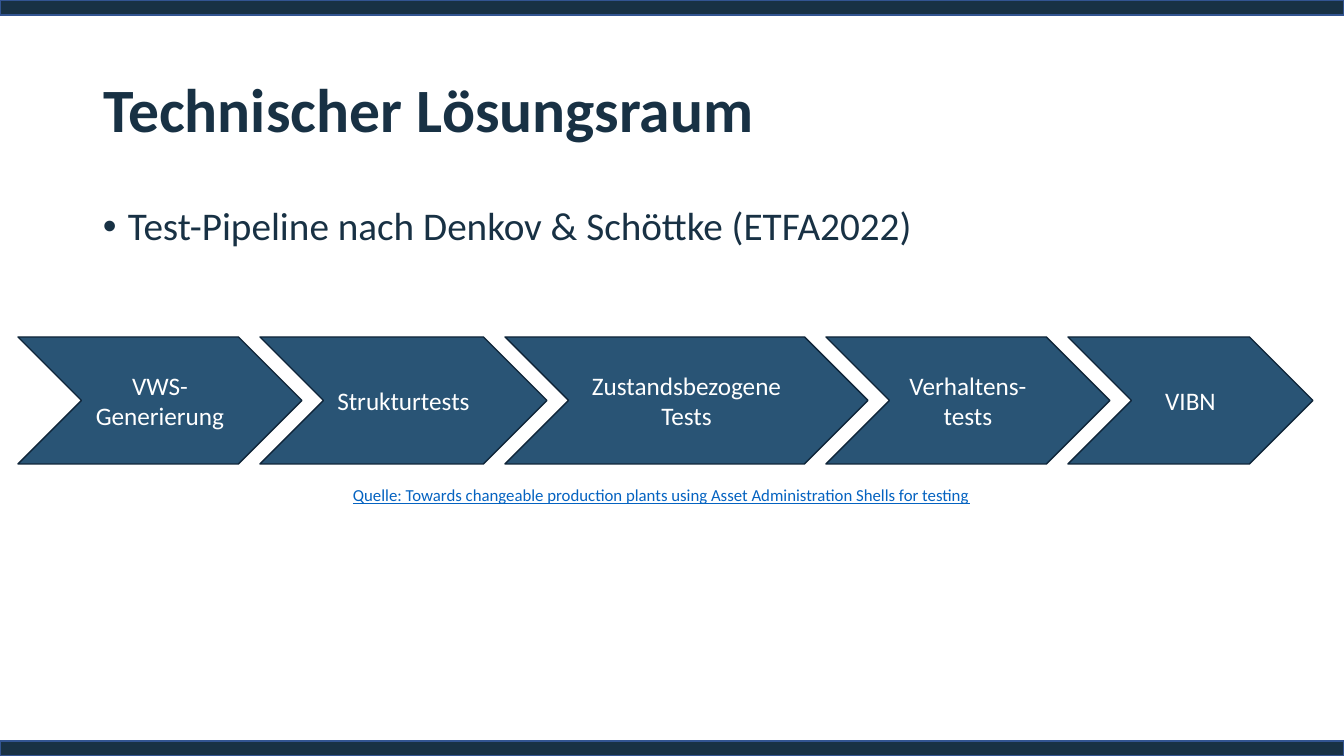
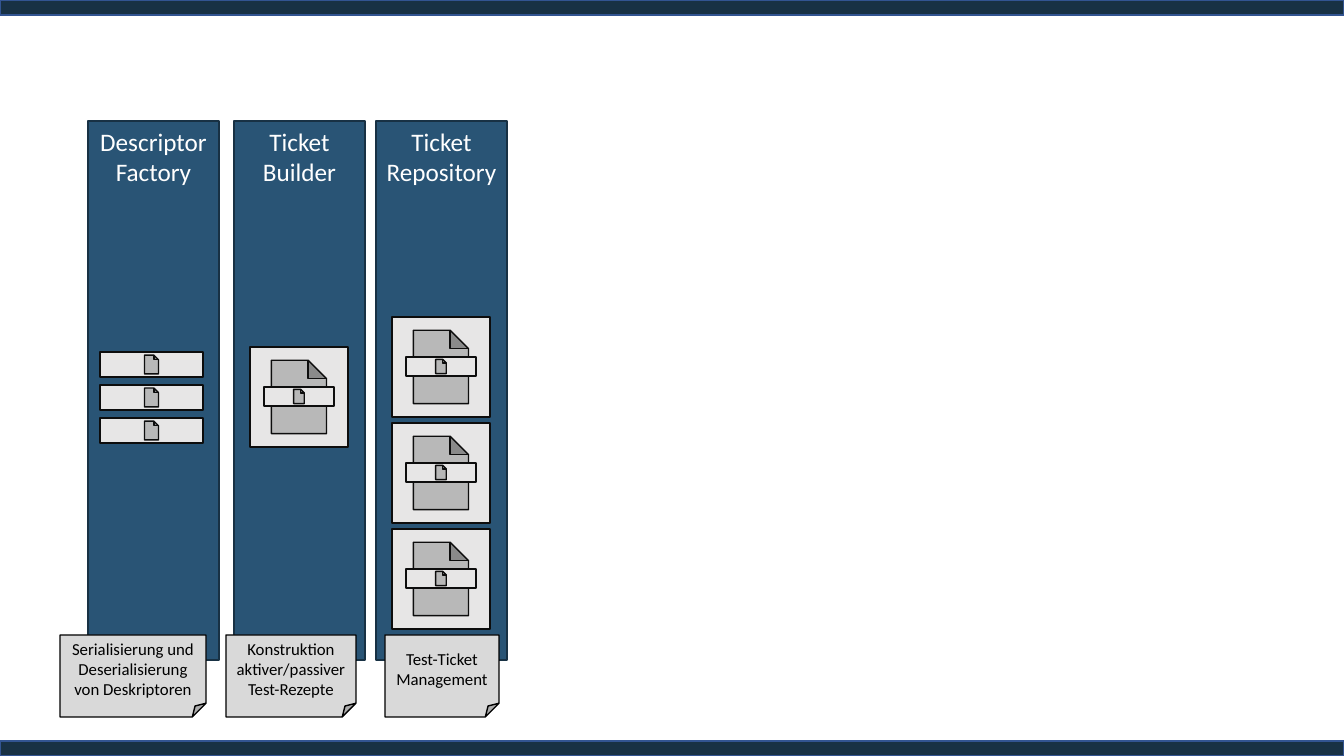
from dataclasses import dataclass

from lxml.etree import SubElement
from pptx import Presentation
from pptx.dml.color import RGBColor
from pptx.enum.shapes import MSO_SHAPE
from pptx.enum.text import MSO_ANCHOR, MSO_AUTO_SIZE, PP_ALIGN
from pptx.oxml.ns import qn
from pptx.util import Emu, Pt

EMU_PER_PX = 914400 / 100.8
SLIDE_WIDTH, SLIDE_HEIGHT = 1344, 756
BAND_HEIGHT = 15
TITLE_ONLY, BLANK = 5, 6


@dataclass(frozen=True)
class Theme:
    font: str = "Calibri"
    navy: str = "183144"
    blue: str = "295475"
    band_edge: str = "325491"
    step_edge: str = "0F2539"
    white: str = "FFFFFF"
    black: str = "000000"
    note: str = "D9D9D9"
    paper: str = "E7E6E6"
    paper_edge: str = "0D0D0D"
    link: str = "0563C1"
    title_size: int = 44
    body_size: int = 28
    label_size: int = 18
    small_size: int = 12


def px(length):
    return Emu(round(length * EMU_PER_PX))


def apply_format(target, values):
    for name, value in values.items():
        setattr(target, name, value)


class Deck:
    def __init__(self, theme):
        self.theme = theme
        self.presentation = Presentation()
        self.presentation.slide_width = px(SLIDE_WIDTH)
        self.presentation.slide_height = px(SLIDE_HEIGHT)
        self.slide = None

    def new_slide(self, title=None):
        layout = self.presentation.slide_layouts[BLANK if title is None else TITLE_ONLY]
        self.slide = self.presentation.slides.add_slide(layout)
        for top in (0, SLIDE_HEIGHT - BAND_HEIGHT):
            self.shape(MSO_SHAPE.RECTANGLE, (0, top, SLIDE_WIDTH, BAND_HEIGHT),
                       self.theme.navy, self.theme.band_edge)
        if title is not None:
            self.title(title)

    def set_text(self, holder, text, size, color, align=PP_ALIGN.LEFT,
                 anchor=MSO_ANCHOR.TOP, spacing=None, **font_values):
        frame = holder.text_frame
        apply_format(frame, {"word_wrap": True, "vertical_anchor": anchor,
                             "auto_size": MSO_AUTO_SIZE.NONE})
        frame.text = text
        for paragraph in frame.paragraphs:
            apply_format(paragraph, {"alignment": align, "line_spacing": spacing})
            for run in paragraph.runs:
                apply_format(run.font, {"name": self.theme.font, "size": Pt(size), **font_values})
                run.font.color.rgb = RGBColor.from_string(color)

    def title(self, text):
        heading = self.slide.shapes.title
        box = dict(zip(("left", "top", "width", "height"), map(px, (93, 40, 1159, 146))))
        apply_format(heading, box)
        self.set_text(heading, text, self.theme.title_size, self.theme.navy,
                      anchor=MSO_ANCHOR.MIDDLE, spacing=0.9, bold=True)

    def text_box(self, box, text, size, color, **text_format):
        holder = self.slide.shapes.add_textbox(*map(px, box))
        self.set_text(holder, text, size, color, **text_format)
        return holder

    def bullet(self, box, text):
        holder = self.text_box(box, text, self.theme.body_size, self.theme.navy, spacing=0.9)
        properties = holder.text_frame.paragraphs[0]._p.get_or_add_pPr()
        indent = px(25)
        properties.set("marL", str(indent))
        properties.set("indent", str(-indent))
        SubElement(properties, qn("a:buFont")).set("typeface", "Arial")
        SubElement(properties, qn("a:buChar")).set("char", "•")

    def shape(self, kind, box, fill, edge, parent=None):
        drawn = (parent or self.slide).shapes.add_shape(kind, *map(px, box))
        drawn.shadow.inherit = False
        drawn.fill.solid()
        drawn.fill.fore_color.rgb = RGBColor.from_string(fill)
        drawn.line.color.rgb = RGBColor.from_string(edge)
        drawn.line.width = Pt(1)
        return drawn

    def step(self, box, text):
        chevron = self.shape(MSO_SHAPE.CHEVRON, box, self.theme.blue, self.theme.step_edge)
        self.set_text(chevron, text, self.theme.label_size, self.theme.white,
                      PP_ALIGN.CENTER, MSO_ANCHOR.MIDDLE)

    def component(self, left, text):
        column = self.shape(MSO_SHAPE.RECTANGLE, (left, 121, 131, 539),
                            self.theme.blue, self.theme.navy)
        self.set_text(column, text, self.theme.label_size, self.theme.white, PP_ALIGN.CENTER)

    def note(self, left, width, text):
        sheet = self.shape(MSO_SHAPE.FOLDED_CORNER, (left, 635, width, 82),
                           self.theme.note, self.theme.black)
        self.set_text(sheet, text, self.theme.small_size, self.theme.black,
                      PP_ALIGN.CENTER, MSO_ANCHOR.MIDDLE)

    def document(self, box, parent=None):
        self.shape(MSO_SHAPE.ACTION_BUTTON_DOCUMENT, box,
                   self.theme.paper, self.theme.paper_edge, parent)

    def ticket(self, left, top):
        group = self.slide.shapes.add_group_shape()
        self.document((left, top, 98, 100), group)
        self.document((left + 14, top + 40, 70, 19), group)


def build_pipeline(deck):
    theme = deck.theme
    deck.new_slide("Technischer Lösungsraum")
    deck.bullet((93, 202, 1159, 480), "Test-Pipeline nach Denkov & Schöttke (ETFA2022)")
    deck.text_box((343, 480, 654, 30),
                  "Quelle: Towards changeable production plants using "
                  "Asset Administration Shells for testing",
                  theme.small_size, theme.link, underline=True)
    steps = (("VWS-Generierung", 284), ("Strukturtests", 287),
             ("Zustandsbezogene Tests", 363), ("Verhaltens-tests", 284), ("VIBN", 245))
    left, overlap = 18, 42
    for name, width in steps:
        deck.step((left, 337, width, 127), name)
        left += width - overlap


def build_components(deck):
    deck.new_slide()
    components = (
        (88, "Descriptor\nFactory", 60, 146, "Serialisierung und Deserialisierung von Deskriptoren"),
        (234, "Ticket Builder", 226, 130, "Konstruktion aktiver/passiver Test-Rezepte"),
        (376, "Ticket Repository", 385, 114, "Test-Ticket Management"),
    )
    for left, name, note_left, note_width, purpose in components:
        deck.component(left, name)
        deck.note(note_left, note_width, purpose)
    for row in range(3):
        deck.document((100, 352 + 33 * row, 103, 25))
        deck.ticket(392, 317 + 106 * row)
    deck.ticket(250, 347)


def main():
    deck = Deck(Theme())
    build_pipeline(deck)
    build_components(deck)
    deck.presentation.save("out.pptx")


if __name__ == "__main__":
    main()
